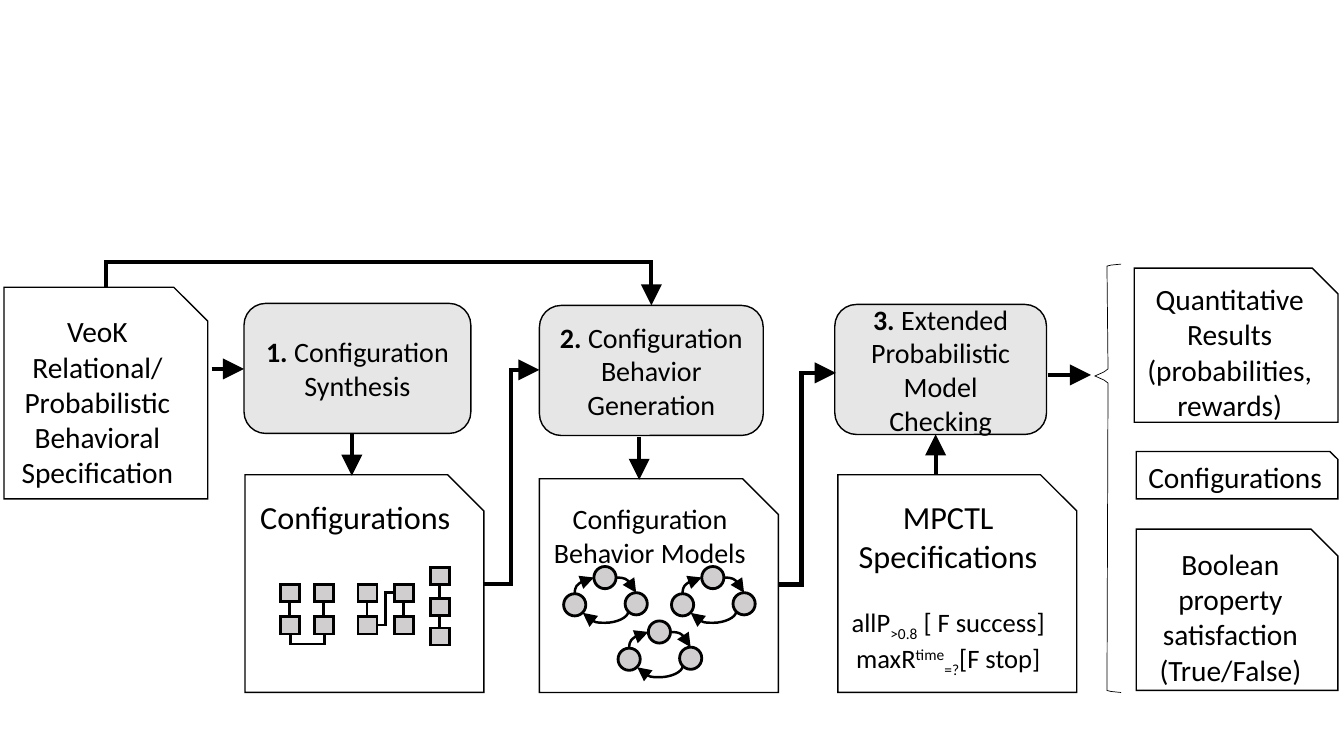
"""Build a slide that shows the pipeline from specification to model checking results."""
from itertools import pairwise

from lxml import etree
from pptx import Presentation
from pptx.dml.color import RGBColor
from pptx.enum.shapes import MSO_CONNECTOR, MSO_SHAPE
from pptx.enum.text import MSO_ANCHOR, PP_ALIGN
from pptx.oxml.ns import qn
from pptx.util import Inches, Pt

SNIP = MSO_SHAPE.SNIP_1_RECTANGLE
ROUND = MSO_SHAPE.ROUNDED_RECTANGLE
RECT = MSO_SHAPE.RECTANGLE
OVAL = MSO_SHAPE.OVAL
STRAIGHT, ELBOW, CURVE = MSO_CONNECTOR.STRAIGHT, MSO_CONNECTOR.ELBOW, MSO_CONNECTOR.CURVE
TOP, MIDDLE = MSO_ANCHOR.TOP, MSO_ANCHOR.MIDDLE
CENTER = PP_ALIGN.CENTER
BLACK, WHITE, STEP_GRAY, NODE_GRAY = "000000", "FFFFFF", "E7E6E6", "D0CECE"


def rgb(color):
    return RGBColor.from_string(color)


class Canvas:
    """Hold the style and the current slide, and draw each kind of element."""

    font = "Calibri"

    def __init__(self, slide):
        self.s = slide

    def outline(self, sp, width):
        sp.line.color.rgb = rgb(BLACK)
        sp.line.width = Pt(width)
        etree.SubElement(sp._element.spPr.find(qn("a:ln")), qn("a:miter"), lim="800000")

    def shape(self, kind, x, y, w, h, fill, width=1):
        sp = self.s.shapes.add_shape(kind, Inches(x), Inches(y), Inches(w), Inches(h))
        sp.shadow.inherit = False
        sp.fill.solid()
        sp.fill.fore_color.rgb = rgb(fill)
        self.outline(sp, width)
        return sp

    def text(self, sp, paragraphs, size, anchor=MIDDLE):
        tf = sp.text_frame
        tf.word_wrap = True
        tf.vertical_anchor = anchor
        for i, runs in enumerate(paragraphs):
            p = tf.add_paragraph() if i else tf.paragraphs[0]
            p.alignment = CENTER
            for words, bold in runs:
                self.run(p, words, size, bold)

    def run(self, p, words, size, bold=False, baseline=0):
        r = p.add_run()
        r.text = words
        r.font.name, r.font.size, r.font.bold = self.font, Pt(size), bold
        r.font.color.rgb = rgb(BLACK)
        if baseline:
            r._r.get_or_add_rPr().set("baseline", str(baseline * 1000))

    def note(self, x, y, w, h, paragraphs, size, anchor=MIDDLE):
        sp = self.shape(SNIP, x, y, w, h, WHITE)
        self.text(sp, [[(words, False)] for words in paragraphs], size, anchor)
        return sp

    def step(self, x, y, w, number, words):
        sp = self.shape(ROUND, x, y, w, 1.29, STEP_GRAY)
        self.text(sp, [[(f"{number}. ", True), (words, False)]], 20)

    def link(self, start, end, kind=STRAIGHT, width=3, arrow=True, upright=False, via=None, preset=None):
        """Draw a connector; upright ones leave vertically, via is where the middle leg runs."""
        (x0, y0), (x1, y1) = start, end
        adjust = None
        if via is not None:
            adjust = (via - y0) / (y1 - y0) if upright else (via - x0) / (x1 - x0)
        turn = 1 if x1 < x0 or y1 < y0 else -1
        if upright:
            cx, cy = (x0 + x1) / 2, (y0 + y1) / 2
            dx, dy = turn * (x0 - cx), turn * (y0 - cy)
            x0, y0, x1, y1 = cx + dy, cy - dx, cx - dy, cy + dx
        c = self.s.shapes.add_connector(kind, Inches(x0), Inches(y0), Inches(x1), Inches(y1))
        self.outline(c, width)
        spPr = c._element.spPr
        if upright:
            spPr.find(qn("a:xfrm")).set("rot", str(5400000 if turn == 1 else 16200000))
        geom = spPr.find(qn("a:prstGeom"))
        if preset:
            geom.set("prst", preset)
        if adjust is not None:
            guides = geom.find(qn("a:avLst"))
            if guides is None:
                guides = etree.SubElement(geom, qn("a:avLst"))
            etree.SubElement(guides, qn("a:gd"), name="adj1", fmla=f"val {round(adjust * 100000)}")
        if arrow:
            etree.SubElement(spPr.find(qn("a:ln")), qn("a:tailEnd"), type="triangle", w="lg", len="lg")
        etree.SubElement(spPr, qn("a:effectLst"))

    def column(self, x, tops):
        for y in tops:
            self.shape(RECT, x, y, 0.19, 0.17, NODE_GRAY, 2)
        for upper, lower in pairwise(tops):
            self.link((x + 0.09, upper + 0.17), (x + 0.09, lower), width=2, arrow=False)

    def state_machine(self, x, y):
        for dx, dy in ((0.3, 0), (0, 0.27), (0.61, 0.26)):
            self.shape(OVAL, x + dx, y + dy, 0.22, 0.22, NODE_GRAY, 2)
        quarter = "curvedConnector2"
        self.link((x + 0.11, y + 0.27), (x + 0.3, y + 0.11), CURVE, 1.75, upright=True, preset=quarter)
        self.link((x + 0.52, y + 0.11), (x + 0.72, y + 0.26), CURVE, 1.75, preset=quarter)
        self.link((x + 0.64, y + 0.45), (x + 0.19, y + 0.46), CURVE, 1.75, upright=True, via=y + 0.56)

    def brace(self, points):
        scaled = [(Inches(x), Inches(y)) for x, y in points]
        builder = self.s.shapes.build_freeform(*scaled[0])
        builder.add_line_segments(scaled[1:], close=False)
        sp = builder.convert_to_shape()
        sp.shadow.inherit = False
        sp.fill.background()
        self.outline(sp, 0.5)


prs = Presentation()
prs.slide_width, prs.slide_height = Inches(13.33), Inches(7.5)
canvas = Canvas(prs.slides.add_slide(prs.slide_layouts[6]))

canvas.note(0.04, 2.85, 2.02, 2.1, ["VeoK Relational/", "Probabilistic Behavioral Specification"], 21)

canvas.note(2.43, 4.71, 2.37, 2.16, ["Configurations"], 23, TOP)
for x in (2.78, 3.12, 3.55, 3.91):
    canvas.column(x, (5.8, 6.12))
canvas.column(4.27, (5.63, 5.94, 6.23))
canvas.link((3.91, 5.88), (3.74, 6.2), ELBOW, 2, arrow=False)
canvas.link((3.22, 6.3), (2.88, 6.29), ELBOW, 2, arrow=False, upright=True, via=6.39)

canvas.step(2.42, 3.01, 2.25, 1, "Configuration Synthesis")
canvas.step(5.35, 3.03, 2.22, 2, "Configuration Behavior Generation")

canvas.note(5.35, 4.75, 2.37, 2.12, ["Configuration Behavior Models"], 20, TOP)
for x, y in ((5.59, 5.62), (6.66, 5.62), (6.13, 6.16)):
    canvas.state_machine(x, y)

specifications = canvas.note(8.31, 4.71, 2.37, 2.16, ["MPCTL Specifications"], 23, TOP)
p = specifications.text_frame.add_paragraph()
p.alignment = CENTER
p.space_before = Pt(22)
for words, baseline in (("allP", 0), (">0.8", -25), (" [ F success] maxR", 0),
                        ("time", 30), ("=?", -25), ("[F stop]", 0)):
    canvas.run(p, words, 19, baseline=baseline)

canvas.step(8.28, 3.02, 2.1, 3, "Extended Probabilistic Model Checking")

canvas.note(11.27, 5.25, 2, 1.6, ["Boolean property satisfaction (True/False)"], 21)
canvas.note(11.25, 2.66, 2.02, 1.53, ["Quantitative Results (probabilities, rewards)"], 21)
canvas.note(11.27, 4.48, 2, 0.47, ["Configurations"], 21)
canvas.brace([(11.12, 6.87), (11.02, 6.86), (10.98, 6.85), (10.99, 3.8), (10.95, 3.77), (10.86, 3.73),
              (10.95, 3.69), (10.99, 3.66), (10.98, 2.64), (11.02, 2.63), (11.12, 2.62)])

for start, end in (((2.1, 3.66), (2.42, 3.66)), ((3.49, 4.31), (3.49, 4.72)),
                   ((6.34, 4.34), (6.34, 4.76)), ((9.28, 4.71), (9.28, 4.31)),
                   ((10.39, 3.72), (10.82, 3.72))):
    canvas.link(start, end)
canvas.link((4.79, 5.79), (5.35, 3.67), ELBOW)
canvas.link((7.73, 5.8), (8.29, 3.7), ELBOW, via=7.95)
canvas.link((1.05, 2.85), (6.46, 3.03), ELBOW, upright=True, via=2.6)

prs.save("out.pptx")
